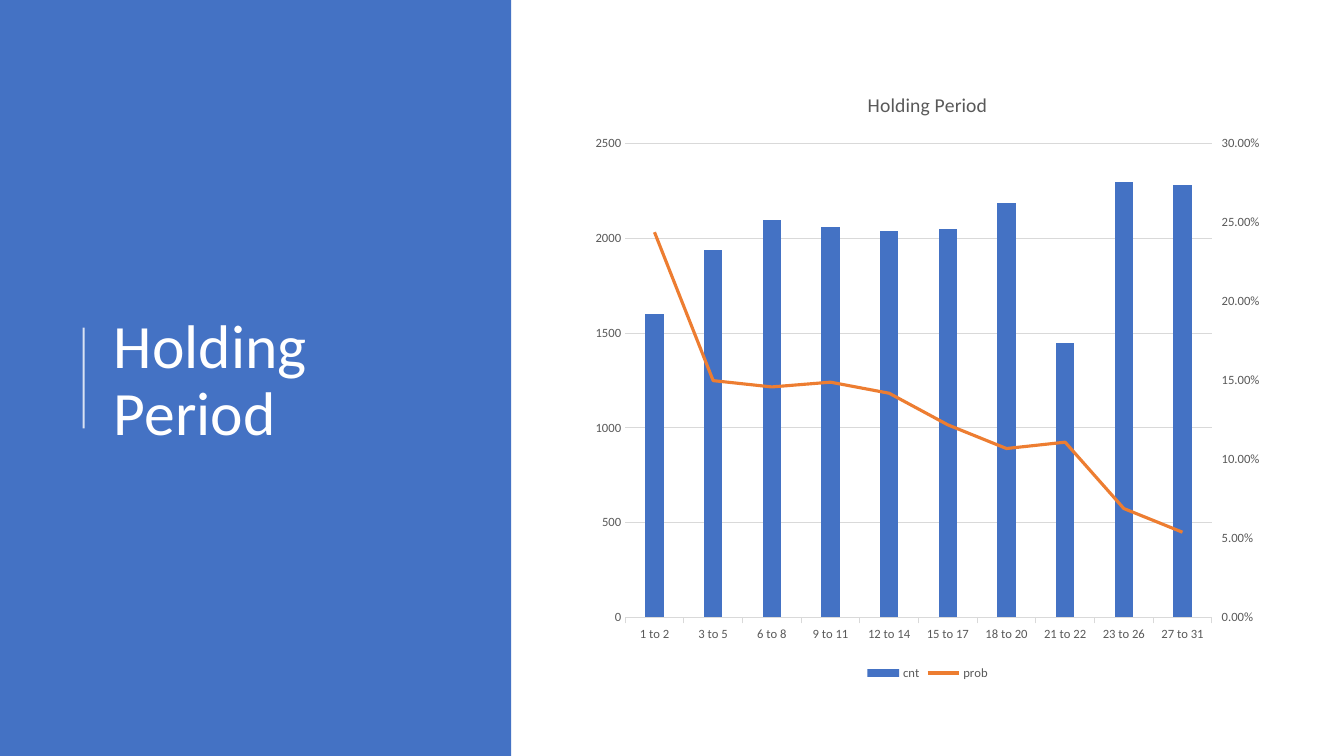
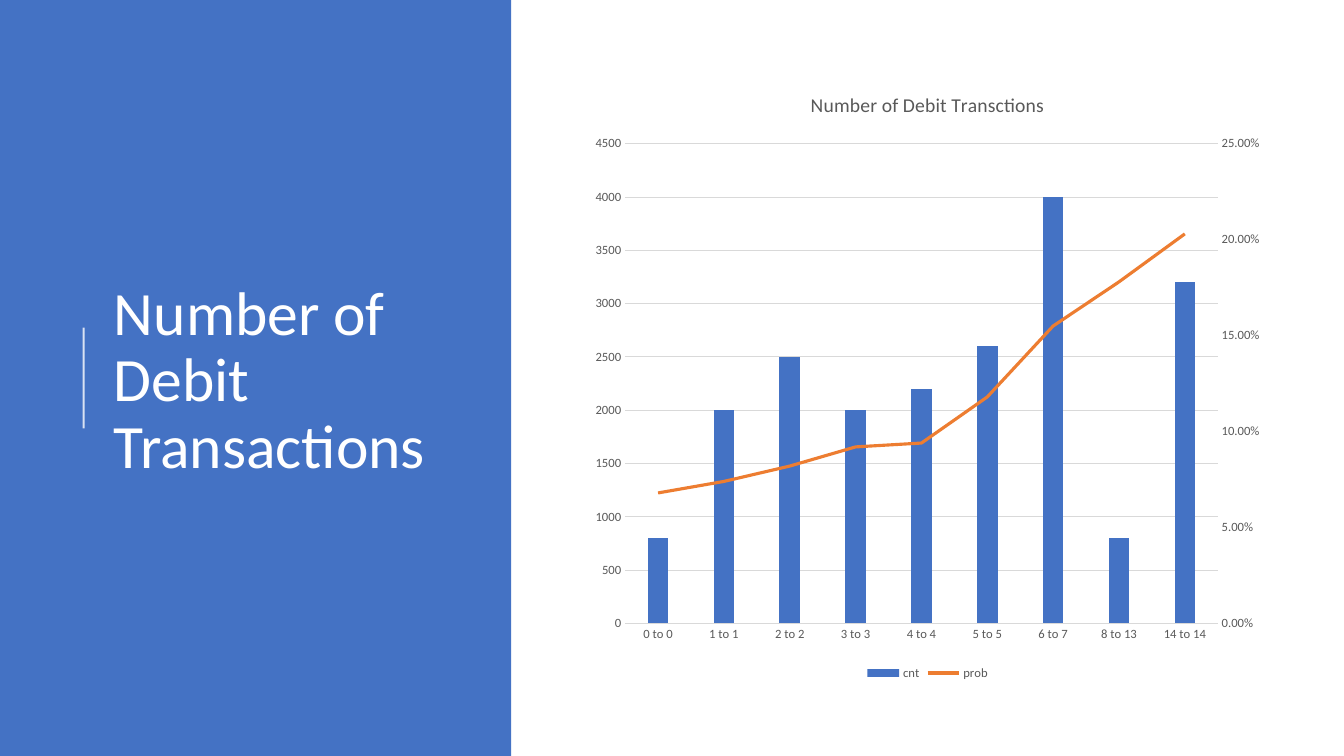
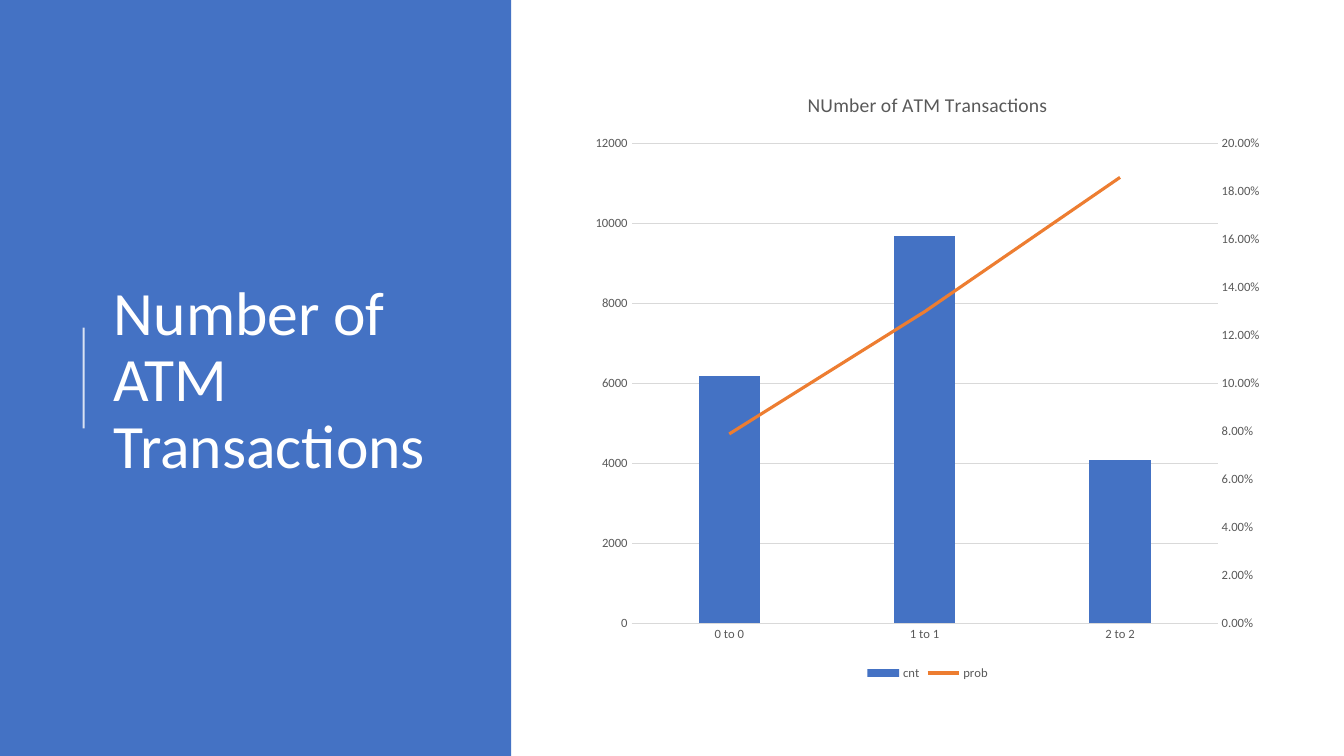
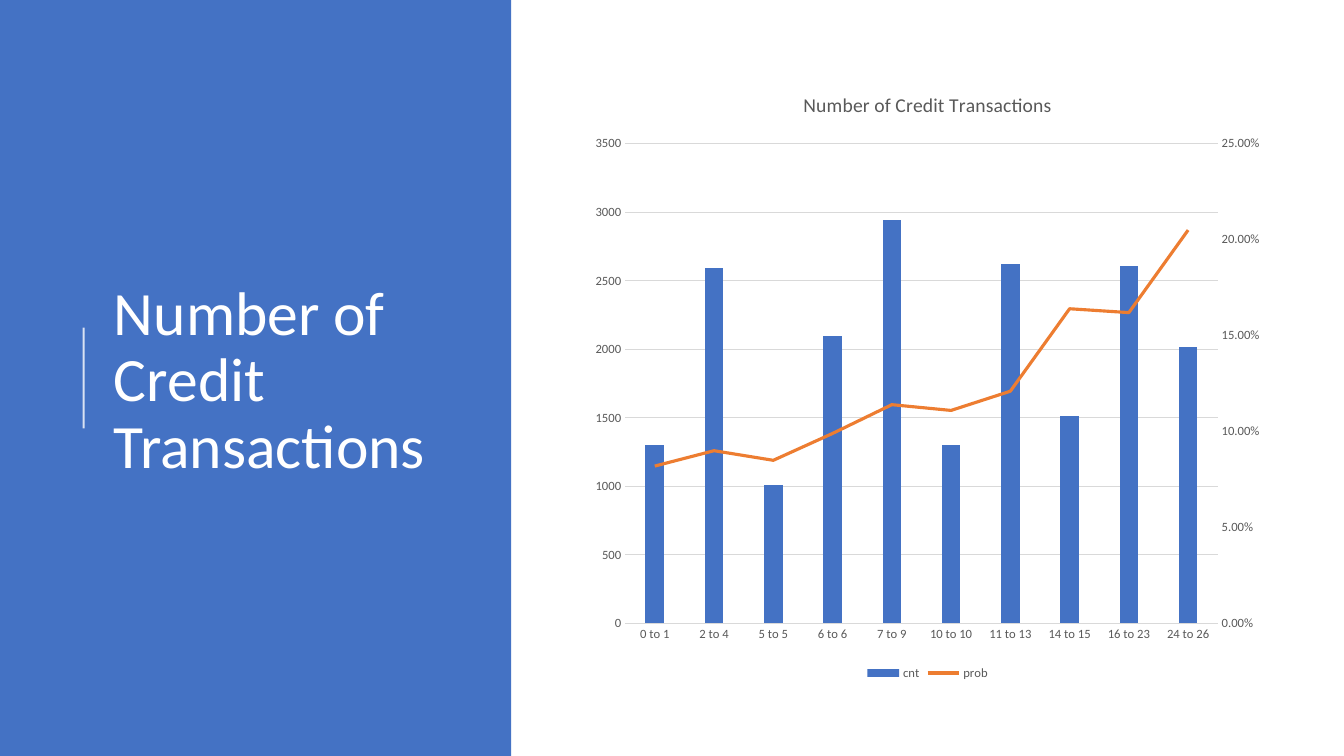
from copy import deepcopy

from lxml import etree
from pptx import Presentation
from pptx.chart.axis import ValueAxis
from pptx.chart.data import CategoryChartData
from pptx.dml.color import RGBColor
from pptx.enum.chart import XL_CHART_TYPE, XL_LEGEND_POSITION, XL_MARKER_STYLE, XL_TICK_MARK
from pptx.enum.shapes import MSO_CONNECTOR, MSO_SHAPE
from pptx.enum.text import MSO_ANCHOR, MSO_AUTO_SIZE, PP_ALIGN
from pptx.oxml import parse_xml
from pptx.oxml.ns import nsdecls, qn
from pptx.util import Inches, Pt

BLUE = RGBColor(0x44, 0x72, 0xC4)
ORANGE = RGBColor(0xED, 0x7D, 0x31)
WHITE = RGBColor(0xFF, 0xFF, 0xFF)
BLACK = RGBColor(0, 0, 0)
GRAY = RGBColor(0x59, 0x59, 0x59)
LIGHT_GRAY = RGBColor(0xD9, 0xD9, 0xD9)

COLUMN = XL_CHART_TYPE.COLUMN_CLUSTERED
LEGEND_BOTTOM = XL_LEGEND_POSITION.BOTTOM
NO_MARKER = XL_MARKER_STYLE.NONE
TICK_NONE, TICK_OUT = XL_TICK_MARK.NONE, XL_TICK_MARK.OUTSIDE
RECTANGLE = MSO_SHAPE.RECTANGLE
STRAIGHT = MSO_CONNECTOR.STRAIGHT
MIDDLE = MSO_ANCHOR.MIDDLE
NO_AUTOFIT = MSO_AUTO_SIZE.NONE
LEFT = PP_ALIGN.LEFT

TITLE_FONT = {"name": "Calibri", "size": Pt(44), "bold": False}
CHART_FONT = {"name": "Calibri", "size": Pt(10), "bold": False}
CHART_TITLE_FONT = {"name": "Calibri", "size": Pt(14), "bold": False}
LABEL_FONT = {"name": "Calibri", "size": Pt(9), "bold": False}

TITLE_BOX = {"left": Inches(1.03), "top": Inches(0.78), "width": Inches(3.69), "height": Inches(6.02)}
RIGHT_AXIS_IDS = {"c:axId": "50020", "c:crossAx": "50010", "c:axPos": "r", "c:crosses": "max"}
LINE_PLOT_XML = (
    f'<c:lineChart {nsdecls("c")}><c:grouping val="standard"/><c:varyColors val="0"/>'
    '<c:marker val="1"/><c:axId val="50010"/><c:axId val="50020"/></c:lineChart>'
)
HIDDEN_AXIS_XML = (
    f'<c:catAx {nsdecls("c")}><c:axId val="50010"/>'
    '<c:scaling><c:orientation val="minMax"/></c:scaling><c:delete val="1"/>'
    '<c:axPos val="b"/><c:majorTickMark val="none"/><c:minorTickMark val="none"/>'
    '<c:tickLblPos val="nextTo"/><c:crossAx val="50020"/><c:crosses val="autoZero"/></c:catAx>'
)

SLIDES = [
    {
        "title": "Holding Period",
        "chart_title": "Holding Period",
        "tick": TICK_OUT,
        "overlap": 0,
        "categories": ["1 to 2", "3 to 5", "6 to 8", "9 to 11", "12 to 14",
                       "15 to 17", "18 to 20", "21 to 22", "23 to 26", "27 to 31"],
        "cnt": [1600, 1940, 2100, 2060, 2040, 2050, 2190, 1450, 2300, 2280],
        "prob": [0.244, 0.15, 0.146, 0.149, 0.142, 0.122, 0.107, 0.111, 0.069, 0.054],
    },
    {
        "title": "Number of Debit Transactions",
        "chart_title": "Number of Debit Transctions",
        "tick": TICK_NONE,
        "overlap": -27,
        "categories": ["0 to 0", "1 to 1", "2 to 2", "3 to 3", "4 to 4",
                       "5 to 5", "6 to 7", "8 to 13", "14 to 14"],
        "cnt": [800, 2000, 2500, 2000, 2200, 2600, 4000, 800, 3200],
        "prob": [0.068, 0.074, 0.082, 0.092, 0.094, 0.118, 0.155, 0.178, 0.203],
    },
    {
        "title": "Number of ATM Transactions",
        "chart_title": "NUmber of ATM Transactions",
        "tick": TICK_NONE,
        "overlap": -27,
        "categories": ["0 to 0", "1 to 1", "2 to 2"],
        "cnt": [6200, 9700, 4100],
        "prob": [0.079, 0.13, 0.186],
    },
    {
        "title": "Number of Credit Transactions",
        "chart_title": "Number of Credit Transactions",
        "tick": TICK_NONE,
        "overlap": -27,
        "categories": ["0 to 1", "2 to 4", "5 to 5", "6 to 6", "7 to 9",
                       "10 to 10", "11 to 13", "14 to 15", "16 to 23", "24 to 26"],
        "cnt": [1300, 2590, 1010, 2100, 2940, 1300, 2620, 1510, 2610, 2020],
        "prob": [0.082, 0.09, 0.085, 0.099, 0.114, 0.111, 0.121, 0.164, 0.162, 0.205],
    },
]


def set_font(font, values, color):
    for name, value in values.items():
        setattr(font, name, value)
    font.color.rgb = color


def set_line(line, color, width):
    line.color.rgb = color
    line.width = Pt(width)


presentation = Presentation()
presentation.slide_width = Inches(13.33)
presentation.slide_height = Inches(7.5)
layout = presentation.slide_layouts.get_by_name("Title Only")

for content in SLIDES:
    slide = presentation.slides.add_slide(layout)

    band = slide.shapes.add_shape(RECTANGLE, 0, 0, Inches(5.07), presentation.slide_height)
    band.shadow.inherit = False
    band.fill.solid()
    band.fill.fore_color.rgb = BLUE
    band.line.fill.background()

    rule = slide.shapes.add_connector(STRAIGHT, Inches(0.83), Inches(4.25), Inches(0.83), Inches(3.25))
    set_line(rule.line, WHITE, 1.5)
    rule_color = rule.element.xpath(".//a:ln//a:srgbClr")[0]
    etree.SubElement(rule_color, qn("a:alpha")).set("val", "80000")
    etree.SubElement(rule.element.spPr, qn("a:effectLst"))

    title = slide.shapes.title
    slide.shapes.element.append(title.element)
    for name, value in TITLE_BOX.items():
        setattr(title, name, value)
    title.text_frame.text = content["title"]
    title.text_frame.word_wrap = True
    title.text_frame.auto_size = NO_AUTOFIT
    title.text_frame.vertical_anchor = MIDDLE
    paragraph = title.text_frame.paragraphs[0]
    paragraph.alignment = LEFT
    paragraph.line_spacing = 0.9
    set_font(paragraph.runs[0].font, TITLE_FONT, WHITE)

    data = CategoryChartData()
    data.categories = content["categories"]
    data.add_series("cnt", content["cnt"], "General")
    data.add_series("prob", content["prob"], "0.00%")
    chart = slide.shapes.add_chart(
        COLUMN, Inches(5.77), Inches(0.7), Inches(6.86), Inches(6.09), data
    ).chart
    set_font(chart.font, CHART_FONT, BLACK)

    chart.has_title = True
    chart.chart_title.include_in_layout = False
    chart.chart_title.text_frame.text = content["chart_title"]
    chart_title_run = chart.chart_title.text_frame.paragraphs[0].runs[0]
    set_font(chart_title_run.font, CHART_TITLE_FONT, GRAY)

    chart.has_legend = True
    chart.legend.position = LEGEND_BOTTOM
    chart.legend.include_in_layout = False
    set_font(chart.legend.font, LABEL_FONT, GRAY)

    for axis in (chart.category_axis, chart.value_axis):
        axis.minor_tick_mark = TICK_NONE
        set_font(axis.tick_labels.font, LABEL_FONT, GRAY)
    chart.category_axis.major_tick_mark = content["tick"]
    set_line(chart.category_axis.format.line, LIGHT_GRAY, 0.75)
    chart.value_axis.major_tick_mark = TICK_NONE
    chart.value_axis.format.line.fill.background()
    chart.value_axis.has_major_gridlines = True
    set_line(chart.value_axis.major_gridlines.format.line, LIGHT_GRAY, 0.75)

    bar_plot = chart.element.xpath(".//c:barChart")[0]
    prob_series = bar_plot.xpath("c:ser")[1]
    for element in prob_series.xpath("c:invertIfNegative"):
        prob_series.remove(element)
    line_plot = parse_xml(LINE_PLOT_XML)
    line_plot.insert(2, prob_series)
    bar_plot.addnext(line_plot)

    left_axis = chart.element.xpath(".//c:valAx")[0]
    right_axis = deepcopy(left_axis)
    for tag, value in RIGHT_AXIS_IDS.items():
        right_axis.find(qn(tag)).set("val", value)
    left_axis.addnext(right_axis)
    right_axis.addnext(parse_xml(HIDDEN_AXIS_XML))
    prob_axis = ValueAxis(right_axis)
    prob_axis.has_major_gridlines = False
    prob_axis.major_tick_mark = content["tick"]
    prob_axis.tick_labels.number_format = "0.00%"
    prob_axis.tick_labels.number_format_is_linked = False

    columns, lines = chart.plots
    columns.gap_width = 219
    columns.overlap = content["overlap"]
    columns.vary_by_categories = False
    columns.series[0].format.fill.solid()
    columns.series[0].format.fill.fore_color.rgb = BLUE
    set_line(lines.series[0].format.line, ORANGE, 2.25)
    lines.series[0].marker.style = NO_MARKER
    lines.series[0].smooth = False

presentation.save("out.pptx")
